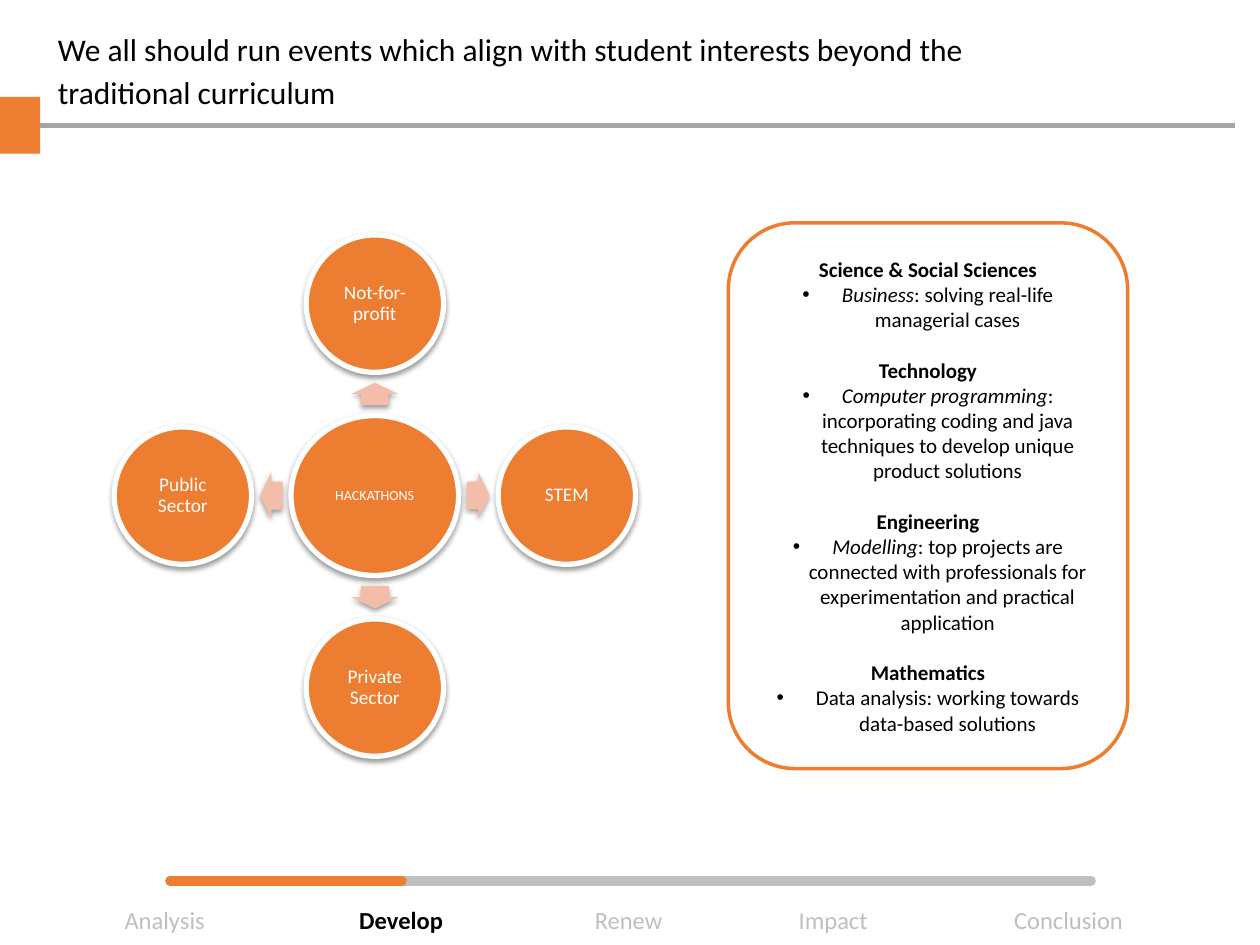
from dataclasses import dataclass

from lxml import etree
from pptx import Presentation
from pptx.dml.color import RGBColor
from pptx.enum.shapes import MSO_CONNECTOR, MSO_SHAPE
from pptx.enum.text import MSO_ANCHOR, MSO_AUTO_SIZE, PP_ALIGN
from pptx.oxml.ns import qn
from pptx.util import Pt

LEFT, CENTER = PP_ALIGN.LEFT, PP_ALIGN.CENTER
TOP, MIDDLE = MSO_ANCHOR.TOP, MSO_ANCHOR.MIDDLE
RECT, ROUNDED = MSO_SHAPE.RECTANGLE, MSO_SHAPE.ROUNDED_RECTANGLE
OVAL, ARROW = MSO_SHAPE.OVAL, MSO_SHAPE.RIGHT_ARROW
ORANGE, PINK, WHITE, BLACK = "ED7D31", "F4BDA9", "FFFFFF", "000000"
GREY, RULE_GREY = "BFBFBF", "A5A5A5"
FONT = "Calibri"

HUB_X, HUB_Y, HUB_W, HUB_H = 214.2, 283.2, 95.8, 91.4
ORBIT, SATELLITE_D = 109.7, 78.5
ARROW_LENGTH, ARROW_WIDTH = 12.8, 26.6
BULLET_INDENT = 22.5
TOPIC_GAP = 14.5


@dataclass
class Satellite:
    label: str
    dx: int
    dy: int
    rotation: int


@dataclass
class Topic:
    heading: str
    lead: str
    detail: str


@dataclass
class Step:
    label: str
    left: float
    width: float
    align: PP_ALIGN = LEFT
    current: bool = False


SATELLITES = [
    Satellite("Not-for-\nprofit", 0, -1, 270),
    Satellite("STEM", 1, 0, 0),
    Satellite("Private Sector", 0, 1, 90),
    Satellite("Public Sector", -1, 0, 180),
]
TOPICS = [
    Topic("Science & Social Sciences", "Business", ": solving real-life managerial cases"),
    Topic("Technology", "Computer programming",
          ": incorporating coding and java techniques to develop unique product solutions"),
    Topic("Engineering", "Modelling",
          ": top projects are connected with professionals for experimentation"
          " and practical application"),
    Topic("Mathematics", "", "Data analysis: working towards data-based solutions"),
]
STEPS = [
    Step("Analysis", 64.1, 66.2),
    Step("Develop", 194.4, 69.8, CENTER, current=True),
    Step("Renew", 329, 60.5, CENTER),
    Step("Impact", 449.3, 62.6),
    Step("Conclusion", 572.4, 83.5),
]


def rgb(color: str) -> RGBColor:
    return RGBColor.from_string(color)


def add_run(p, text: str, size: float, color: str, bold=False, italic=False):
    r = p.add_run()
    r.text = text
    r.font.name, r.font.size = FONT, Pt(size)
    r.font.bold, r.font.italic = bold, italic
    r.font.color.rgb = rgb(color)


def set_frame(tf, anchor, inset_x=7.2, inset_y=3.6):
    tf.word_wrap = True
    tf.auto_size = MSO_AUTO_SIZE.NONE
    tf.vertical_anchor = anchor
    tf.margin_left = tf.margin_right = Pt(inset_x)
    tf.margin_top = tf.margin_bottom = Pt(inset_y)


def next_paragraph(tf, index: int):
    return tf.add_paragraph() if index else tf.paragraphs[0]


def add_shape(s, kind, x, y, w, h, fill: str, line: str = "", line_width=0.0):
    sp = s.shapes.add_shape(kind, Pt(x), Pt(y), Pt(w), Pt(h))
    sp.shadow.inherit = False
    sp.fill.solid()
    sp.fill.fore_color.rgb = rgb(fill)
    if line:
        sp.line.color.rgb = rgb(line)
        sp.line.width = Pt(line_width)
    else:
        sp.line.fill.background()
    return sp


def add_shadow(sp):
    """Fill the shape's empty effect list with a soft shadow below it."""
    effects = sp.element.spPr.find(qn("a:effectLst"))
    outer = etree.SubElement(effects, qn("a:outerShdw"), blurRad=str(Pt(3.1)),
                             dist=str(Pt(1.6)), dir="5400000", rotWithShape="0")
    color = etree.SubElement(outer, qn("a:srgbClr"), val=BLACK)
    etree.SubElement(color, qn("a:alpha"), val="38000")


def add_line(s, x1, x2, y, color: str, width: float, round_cap=False):
    line = s.shapes.add_connector(MSO_CONNECTOR.STRAIGHT, Pt(x1), Pt(y), Pt(x2), Pt(y))
    line.line.color.rgb = rgb(color)
    line.line.width = Pt(width)
    if round_cap:
        line.line._get_or_add_ln().set("cap", "rnd")
    etree.SubElement(line.element.spPr, qn("a:effectLst"))
    return line


def add_circle(s, cx, cy, w, h, label: str, size: float, inset: float):
    sp = add_shape(s, OVAL, cx - w / 2, cy - h / 2, w, h, ORANGE, WHITE, 3)
    add_shadow(sp)
    tf = sp.text_frame
    set_frame(tf, MIDDLE, inset, inset)
    for i, text in enumerate(label.split("\n")):
        p = next_paragraph(tf, i)
        p.alignment, p.line_spacing = CENTER, 0.9
        add_run(p, text, size, WHITE)


def add_satellite(s, sat: Satellite):
    hub_radius = (HUB_W if sat.dx else HUB_H) / 2
    reach = (hub_radius + ORBIT - SATELLITE_D / 2) / 2
    arrow = add_shape(s, ARROW, HUB_X + sat.dx * reach - ARROW_LENGTH / 2,
                      HUB_Y + sat.dy * reach - ARROW_WIDTH / 2,
                      ARROW_LENGTH, ARROW_WIDTH, PINK)
    arrow.adjustments[0], arrow.adjustments[1] = 0.6, 0.5
    arrow.rotation = sat.rotation
    add_shadow(arrow)
    add_circle(s, HUB_X + sat.dx * ORBIT, HUB_Y + sat.dy * ORBIT,
               SATELLITE_D, SATELLITE_D, sat.label, 11, 1.4)


def add_bullet(p):
    pPr = p._p.get_or_add_pPr()
    pPr.set("marL", str(Pt(BULLET_INDENT)))
    pPr.set("indent", str(-Pt(BULLET_INDENT)))
    bullet_color = etree.SubElement(pPr, qn("a:buClr"))
    etree.SubElement(bullet_color, qn("a:srgbClr"), val=BLACK)
    etree.SubElement(pPr, qn("a:buFont"), typeface="Arial")
    etree.SubElement(pPr, qn("a:buChar"), char="•")


def add_topics(s, topics: list[Topic]):
    panel = add_shape(s, ROUNDED, 416.2, 127.4, 228.2, 311.8, WHITE, ORANGE, 2)
    tf = panel.text_frame
    set_frame(tf, MIDDLE)
    for i, topic in enumerate(topics):
        p = next_paragraph(tf, i)
        p.alignment = CENTER
        if i:
            p.space_before = Pt(TOPIC_GAP)
        add_run(p, topic.heading, 12, BLACK, bold=True)
        p = tf.add_paragraph()
        p.alignment = CENTER
        add_bullet(p)
        if topic.lead:
            add_run(p, topic.lead, 12, BLACK, italic=True)
        add_run(p, topic.detail, 12, BLACK)


def add_step(s, step: Step):
    tb = s.shapes.add_textbox(Pt(step.left), Pt(513.4), Pt(step.width), Pt(24.5))
    set_frame(tb.text_frame, TOP)
    p = tb.text_frame.paragraphs[0]
    p.alignment = step.align
    add_run(p, step.label, 14, BLACK if step.current else GREY, bold=step.current)


def add_title(s, text: str):
    title = s.shapes.title
    title.left, title.top, title.width, title.height = Pt(25.9), Pt(10.1), Pt(545.8), Pt(28.8)
    set_frame(title.text_frame, TOP)
    p = title.text_frame.paragraphs[0]
    p.alignment, p.line_spacing = LEFT, 1.15
    add_run(p, text, 18, BLACK)


def main():
    prs = Presentation()
    prs.slide_width, prs.slide_height = Pt(720), Pt(540)
    s = prs.slides.add_slide(prs.slide_layouts[5])
    add_title(s, "We all should run events which align with student interests "
                 "beyond the traditional curriculum")
    tab = add_shape(s, RECT, 0, 55.4, 23, 32.4, ORANGE)
    add_line(s, 23, 705.6, 71.6, RULE_GREY, 3).begin_connect(tab, 3)

    add_circle(s, HUB_X, HUB_Y, HUB_W, HUB_H, "HACKATHONS", 8, 0.7)
    for sat in SATELLITES:
        add_satellite(s, sat)
    add_topics(s, TOPICS)

    add_line(s, 97.2, 623.5, 503.3, GREY, 5.5, round_cap=True)
    add_line(s, 97.2, 229.7, 503.3, ORANGE, 5.5, round_cap=True)
    for step in STEPS:
        add_step(s, step)
    prs.save("out.pptx")


if __name__ == "__main__":
    main()
